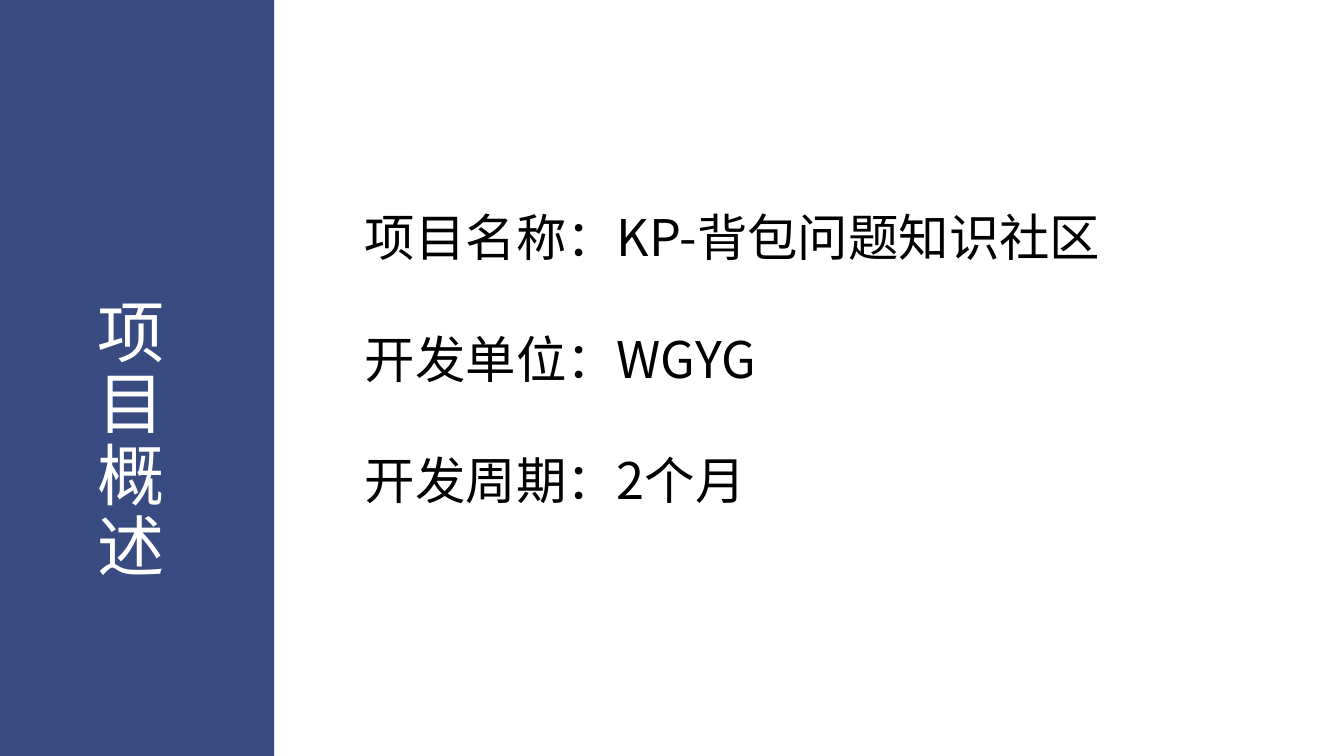
from pptx import Presentation, util as u
from pptx.dml.color import RGBColor
from pptx.enum import shapes, text
from pptx.oxml.ns import qn
from lxml import etree

FONT = "Noto Sans CJK SC"
FACTS = [
    ("项目名称", "KP-背包问题知识社区"),
    ("开发单位", "WGYG"),
    ("开发周期", "2个月"),
]


def colour(hex_code):
    """Return the colour for a hex string."""
    return RGBColor.from_string(hex_code)


def add_block(slide, left, top, width, height, fill):
    """Add a plain filled rectangle."""
    block = slide.shapes.add_shape(
        shapes.MSO_SHAPE.RECTANGLE,
        u.Inches(left), u.Inches(top), u.Inches(width), u.Inches(height))
    block.shadow.inherit = False
    block.fill.solid()
    block.fill.fore_color.rgb = colour(fill)
    block.line.fill.background()
    return block


def write(frame, wording, size, hex_code, align):
    """Set one line of text with its font, size, colour and alignment."""
    frame.text = wording
    frame.word_wrap = True
    frame.vertical_anchor = text.MSO_ANCHOR.MIDDLE
    line = frame.paragraphs[0]
    line.alignment = align
    run = line.runs[0]
    run.font.size = u.Pt(size)
    run.font.name = FONT
    run.font.color.rgb = colour(hex_code)
    etree.SubElement(run.font._element, qn("a:ea")).set("typeface", FONT)
    return run


def add_sidebar(slide, left, top, width, height):
    """Add the blue band with its vertical section title."""
    add_block(slide, left, top, width, height, "384C81")
    title = slide.shapes.add_textbox(
        u.Inches(left + 0.72), u.Inches(top + 2.99), u.Inches(1.11), u.Inches(2.96))
    frame = title.text_frame
    frame.margin_left = frame.margin_right = 0
    frame.margin_top = frame.margin_bottom = 0
    run = write(frame, "项目概述", 48, "FFFFFF", text.PP_ALIGN.RIGHT)
    run.font._element.set("spc", "300")
    frame._txBody.bodyPr.set("vert", "eaVert")


def add_facts(slide, left, top, width, row_height, pitch):
    """Add the project facts as evenly spaced rows."""
    for index, (label, value) in enumerate(FACTS):
        row = add_block(slide, left, top + index * pitch, width, row_height, "FFFFFF")
        write(row.text_frame, f"{label}：{value}", 36, "000000", text.PP_ALIGN.LEFT)
        row.text_frame.auto_size = text.MSO_AUTO_SIZE.SHAPE_TO_FIT_TEXT


def main():
    """Build and save the project overview slide."""
    deck = Presentation()
    deck.slide_width, deck.slide_height = u.Inches(13.33), u.Inches(7.5)
    slide = deck.slides.add_slide(deck.slide_layouts[6])
    add_sidebar(slide, 0, -0.03, 2.72, 7.53)
    add_facts(slide, 3.52, 1.99, 9.09, 0.71, 1.205)
    deck.save("out.pptx")


if __name__ == "__main__":
    main()
